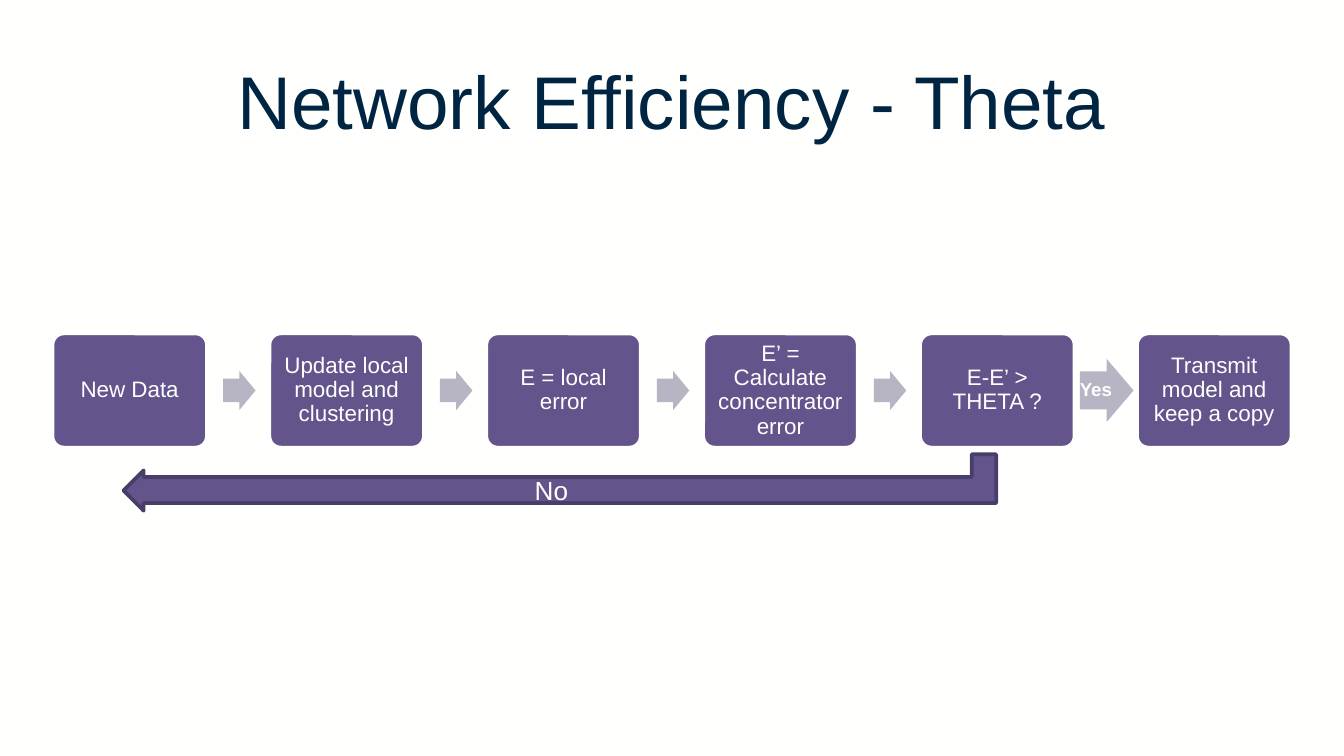
"""Build the Network Efficiency - Theta flow slide."""
import pptx
import pptx.util
import pptx.dml.color
import pptx.enum.shapes
import pptx.enum.text

Pt = pptx.util.Pt
RGB = pptx.dml.color.RGBColor
KIND = pptx.enum.shapes.MSO_SHAPE
ALIGN = pptx.enum.text.PP_ALIGN
ANCHOR = pptx.enum.text.MSO_ANCHOR

WHITE = RGB(0xFF, 0xFF, 0xFE)
NAVY = RGB(0x00, 0x25, 0x42)
PURPLE = RGB(0x63, 0x54, 0x8B)
DARK = RGB(0x49, 0x3E, 0x67)
GREY = RGB(0xB7, 0xB4, 0xC4)

TITLE = "Network Efficiency - Theta"
STEPS = [
    "New Data",
    "Update local model and clustering",
    "E = local error",
    "E’ = Calculate concentrator error",
    "E-E’ > THETA ?",
    "Transmit model and keep a copy",
]
LINKS = ["", "", "", "", "Yes"]
BACK = "No"

LEFT, MID, PITCH = 28.1, 209.2, 116.2
BOX = (82.8, 61.2)
PLAIN = (91.4, 17.4, 21)
LARGE = (85.6, 28.8, 33.8)
LOOP = [
    (520.6, 243.4), (533.7, 243.4), (533.7, 269.5), (77, 269.5),
    (77, 273.6), (66.2, 262.8), (77, 252), (77, 255.6), (520.6, 255.6),
]


def write(shape, text, size, color, pads, bold=False,
          align=ALIGN.CENTER, anchor=ANCHOR.MIDDLE, space=1):
    frame = shape.text_frame
    frame.word_wrap = True
    frame.vertical_anchor = anchor
    frame.margin_left, frame.margin_top, frame.margin_right, frame.margin_bottom = map(Pt, pads)
    para = frame.paragraphs[0]
    para.alignment = align
    para.line_spacing = space
    run = para.add_run()
    run.text = text
    run.font.name = "Arial"
    run.font.size = Pt(size)
    run.font.bold = bold
    run.font.color.rgb = color


def paint(shape, fill, line=None):
    shape.shadow.inherit = False
    shape.fill.solid()
    shape.fill.fore_color.rgb = fill
    if line is None:
        shape.line.fill.background()
    else:
        shape.line.color.rgb = line
        shape.line.width = Pt(2)


def place(shapes, kind, left, wide, high):
    return shapes.add_shape(kind, Pt(left), Pt(MID - high / 2), Pt(wide), Pt(high))


def main():
    deck = pptx.Presentation()
    deck.slide_width, deck.slide_height = Pt(720), Pt(405)
    slide = deck.slides.add_slide(deck.slide_layouts[6])
    slide.background.fill.solid()
    slide.background.fill.fore_color.rgb = WHITE
    shapes = slide.shapes

    title = shapes.add_textbox(Pt(19.4), Pt(20.9), Pt(680.4), Pt(62.6))
    write(title, TITLE, 40, NAVY, (7.2, 7.2, 7.2, 6), anchor=ANCHOR.BOTTOM)

    for i, step in enumerate(STEPS):
        box = place(shapes, KIND.ROUNDED_RECTANGLE, LEFT + i * PITCH, *BOX)
        box.adjustments[0] = 0.1
        paint(box, PURPLE, WHITE)
        write(box, step, 12, WHITE, (3.6, 3.6, 3.6, 3.6), space=0.9)

    for i, link in enumerate(LINKS):
        shift, wide, high = LARGE if link else PLAIN
        arrow = place(shapes, KIND.RIGHT_ARROW, LEFT + i * PITCH + shift, wide, high)
        arrow.adjustments[0] = 0.6
        arrow.adjustments[1] = 0.5
        paint(arrow, GREY)
        if link:
            write(arrow, link, 10, WHITE, (0, 0, 3, 0), bold=True, space=0.9)

    start, *rest = [(Pt(x), Pt(y)) for x, y in LOOP]
    path = shapes.build_freeform(*start)
    path.add_line_segments(rest, close=True)
    paint(path.convert_to_shape(), PURPLE, DARK)

    label = shapes.add_textbox(Pt(279.4), Pt(250.6), Pt(41), Pt(24.5))
    write(label, BACK, 14, WHITE, (7.2, 3.6, 7.2, 3.6), align=ALIGN.LEFT, anchor=ANCHOR.TOP)

    deck.save("out.pptx")


if __name__ == "__main__":
    main()
